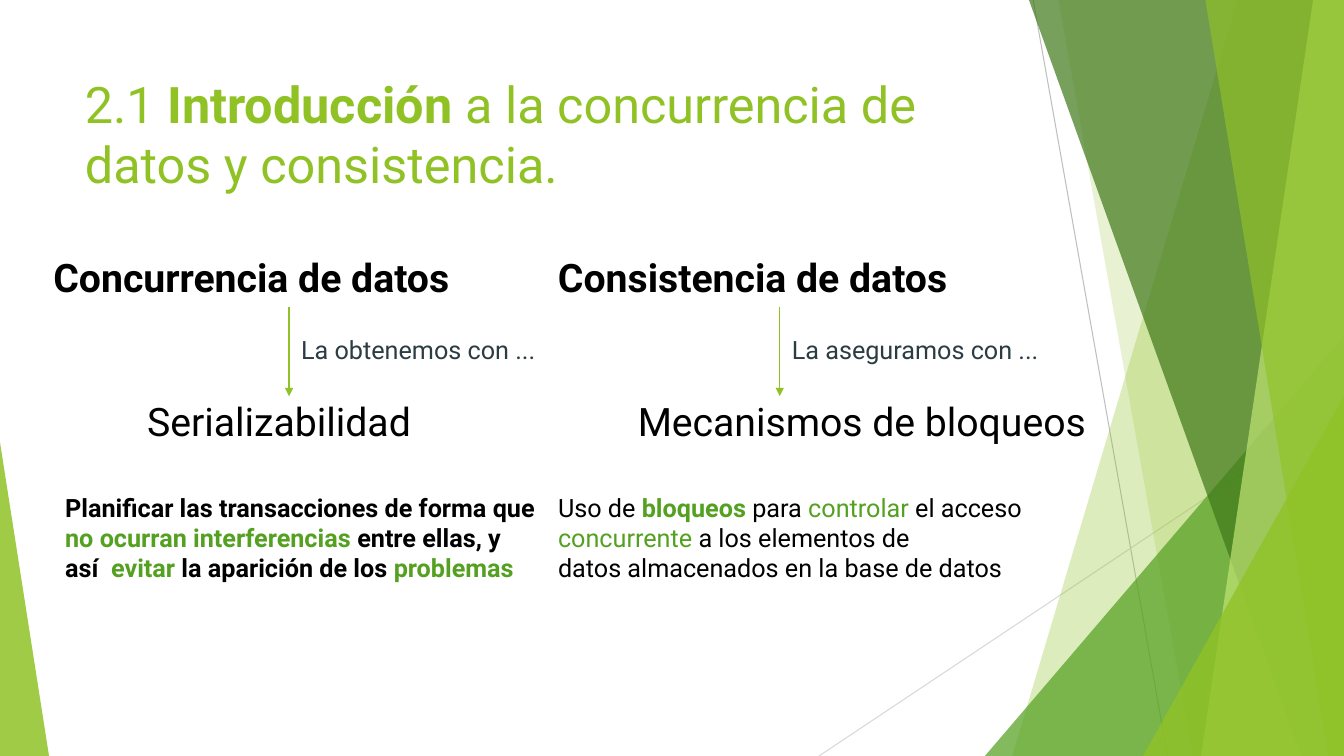
from lxml import etree
from pptx import Presentation
from pptx.dml.color import RGBColor
from pptx.enum.shapes import MSO_CONNECTOR, MSO_SHAPE
from pptx.enum.text import MSO_ANCHOR, MSO_AUTO_SIZE, PP_ALIGN
from pptx.oxml.ns import qn
from pptx.util import Pt

STRAIGHT = MSO_CONNECTOR.STRAIGHT
TRIANGLE = MSO_SHAPE.ISOSCELES_TRIANGLE
TOP, LEFT, NO_FIT = MSO_ANCHOR.TOP, PP_ALIGN.LEFT, MSO_AUTO_SIZE.NONE

WIDTH, HEIGHT = 960, 540
COLORS = {
    "lime": "90C226", "green": "54A021", "forest": "3F7819", "pale": "C0E474",
    "black": "000000", "slate": "2C3C43", "grey": "BFBFBF", "mist": "D9D9D9",
}


class SlideBuilder:
    font = "Roboto"

    def __init__(self, slide):
        self.shapes = slide.shapes

    def color(self, name):
        return RGBColor.from_string(COLORS[name])

    def glass(self, shape, color, opacity):
        """Fill a shape with a translucent colour and no outline."""
        shape.shadow.inherit = False
        shape.fill.solid()
        shape.fill.fore_color.rgb = self.color(color)
        shape.line.fill.background()
        tint = shape._element.spPr.find(".//" + qn("a:srgbClr"))
        etree.SubElement(tint, qn("a:alpha"), val=str(opacity * 1000))

    def band(self, top_x, bottom_x, color, opacity):
        """Slanted band that runs from its left edge to the slide's right edge."""
        outline = self.shapes.build_freeform(Pt(top_x), 0)
        corners = [(WIDTH, 0), (WIDTH, HEIGHT), (bottom_x, HEIGHT)]
        outline.add_line_segments([(Pt(x), Pt(y)) for x, y in corners])
        self.glass(outline.convert_to_shape(), color, opacity)

    def wedge(self, left, top, width, apex, color, opacity):
        """Triangle that stands on the slide's bottom edge."""
        shape = self.shapes.add_shape(
            TRIANGLE, Pt(left), Pt(top), Pt(width), Pt(HEIGHT - top))
        shape.adjustments[0] = apex
        self.glass(shape, color, opacity)

    def line(self, x1, y1, x2, y2, color, weight, arrow=False):
        line = self.shapes.add_connector(STRAIGHT, Pt(x1), Pt(y1), Pt(x2), Pt(y2))
        line.line.color.rgb = self.color(color)
        line.line.width = Pt(weight)
        properties = line._element.spPr
        if arrow:
            etree.SubElement(properties.find(qn("a:ln")), qn("a:tailEnd"), type="triangle")
        etree.SubElement(properties, qn("a:effectLst"))

    def fill_text(self, frame, paragraphs, size, wrap=True):
        """Each paragraph is a list of (text, colour, bold) runs."""
        for name, value in {"word_wrap": wrap, "auto_size": NO_FIT,
                            "vertical_anchor": TOP}.items():
            setattr(frame, name, value)
        for index, runs in enumerate(paragraphs):
            paragraph = frame.add_paragraph() if index else frame.paragraphs[0]
            paragraph.alignment = LEFT
            for text, color, bold in runs:
                run = paragraph.add_run()
                run.text = text
                for name, value in {"name": self.font, "size": Pt(size),
                                    "bold": bold}.items():
                    setattr(run.font, name, value)
                run.font.color.rgb = self.color(color)

    def title(self, left, top, width, height, runs, size):
        title = self.shapes.title
        for name, value in {"left": left, "top": top,
                            "width": width, "height": height}.items():
            setattr(title, name, Pt(value))
        self.fill_text(title.text_frame, [runs], size)

    def text(self, left, top, width, height, paragraphs, size, wrap=True):
        box = self.shapes.add_textbox(Pt(left), Pt(top), Pt(width), Pt(height))
        self.fill_text(box.text_frame, paragraphs, size, wrap)


presentation = Presentation()
presentation.slide_width, presentation.slide_height = Pt(WIDTH), Pt(HEIGHT)
page = SlideBuilder(presentation.slides.add_slide(presentation.slide_layouts[5]))

# Facet background, from back to front
page.line(738, 0, 834, HEIGHT, "grey", 0.75)
page.line(WIDTH, 290, 585, HEIGHT, "mist", 0.75)
page.band(884, 723, "lime", 30)
page.band(756, 852, "lime", 20)
page.wedge(703.5, 240, 256.5, 1, "green", 72)
page.band(735, 929.5, "forest", 70)
page.band(938, 858, "pale", 70)
page.band(861, 949, "lime", 65)
page.wedge(816.5, 283, 143.5, 1, "lime", 80)
page.wedge(0, 316, 35, 0, "lime", 85)

# Title
page.title(53.5, 48.5, 677, 104, [
    ("2.1 ", "lime", False),
    ("Introducción", "lime", True),
    (" a la concurrencia de datos y consistencia.", "lime", False),
], 36)

# Two columns: concept, arrow with its label, means, explanation
serializability_note = [[
    ("Planificar las transacciones de forma que ", "black", True),
    ("no ocurran interferencias", "green", True),
    (" entre ellas, y así  ", "black", True),
    ("evitar", "green", True),
    (" la aparición de los ", "black", True),
    ("problemas ", "green", True),
]]
locking_note = [
    [
        ("Uso de ", "black", False),
        ("bloqueos ", "green", True),
        ("para ", "black", False),
        ("controlar", "green", False),
        (" el acceso ", "black", False),
        ("concurrente", "green", False),
        (" a los elementos de", "black", False),
    ],
    [("datos almacenados en la base de datos", "black", False)],
]
columns = [
    # concept, its left, arrow x, label, means, note, note left, note width
    ("Concurrencia de datos", 31, 206.5, "La obtenemos con ...",
     "Serializabilidad", serializability_note, 39.5, 352),
    ("Consistencia de datos", 391.5, 557, "La aseguramos con ...",
     "Mecanismos de bloqueos", locking_note, 391.5, 392),
]
for concept, concept_left, axis, label, means, note, note_left, note_width in columns:
    page.text(concept_left, 177.5, 352, 41, [[(concept, "black", True)]], 28)
    page.line(axis, 219, axis, 283, "lime", 1, arrow=True)
    page.text(axis + 1.5, 235.5, 190, 29, [[(label, "slate", False)]], 18, wrap=False)
    page.text(axis - 108.5, 280, 344, 75, [[(means, "black", False)]], 28)
    page.text(note_left, 348, note_width, 94, note, 18)

presentation.save("out.pptx")
